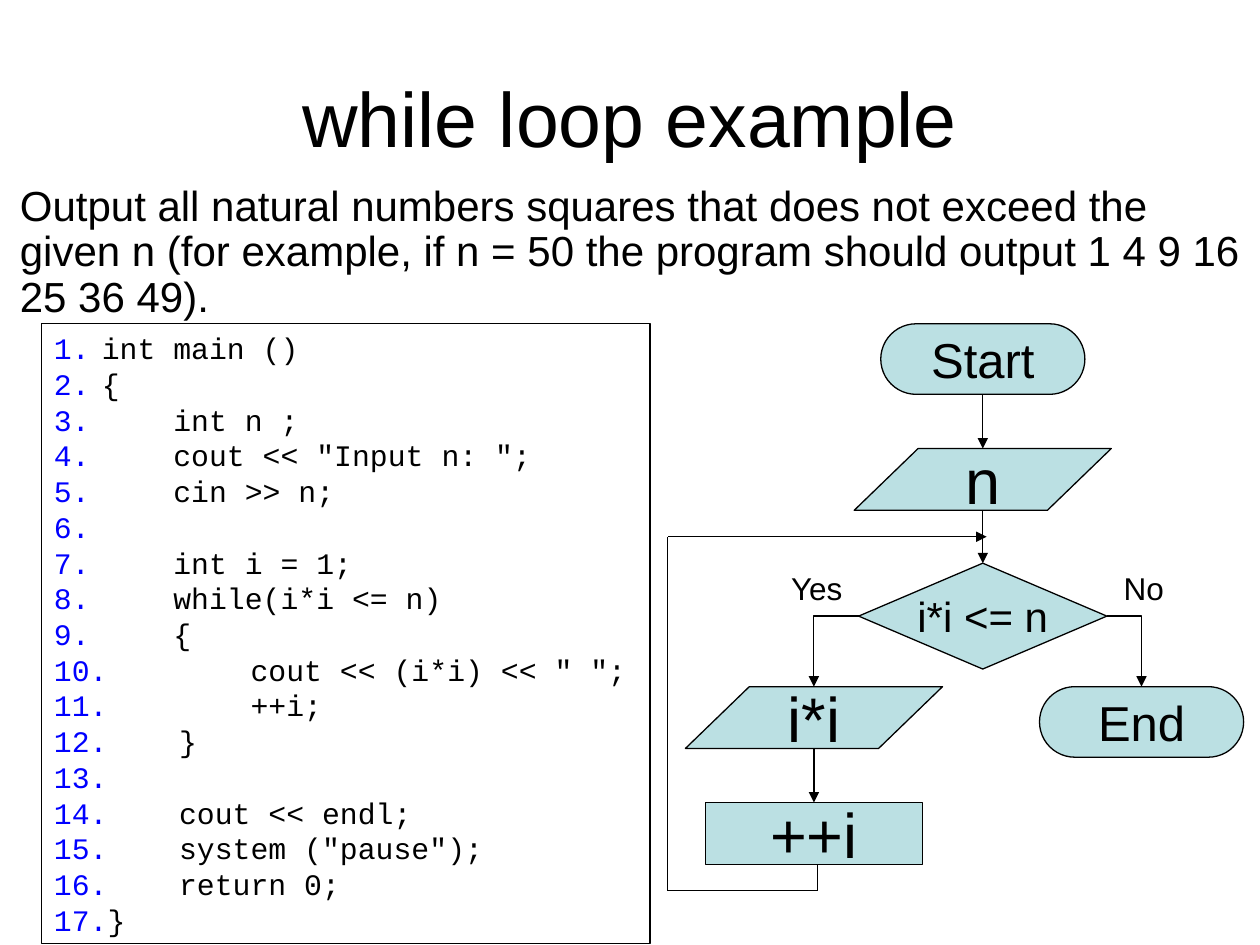
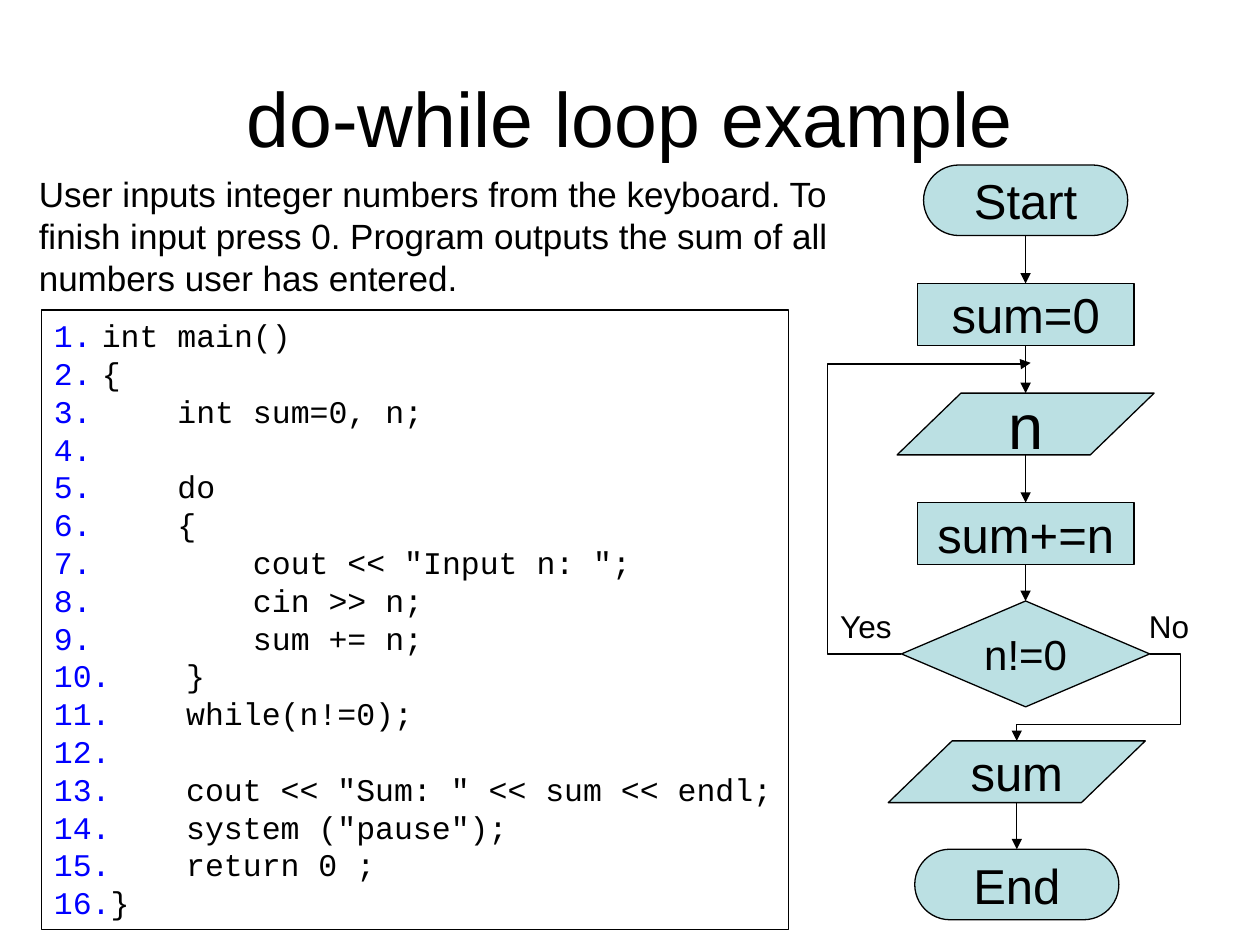
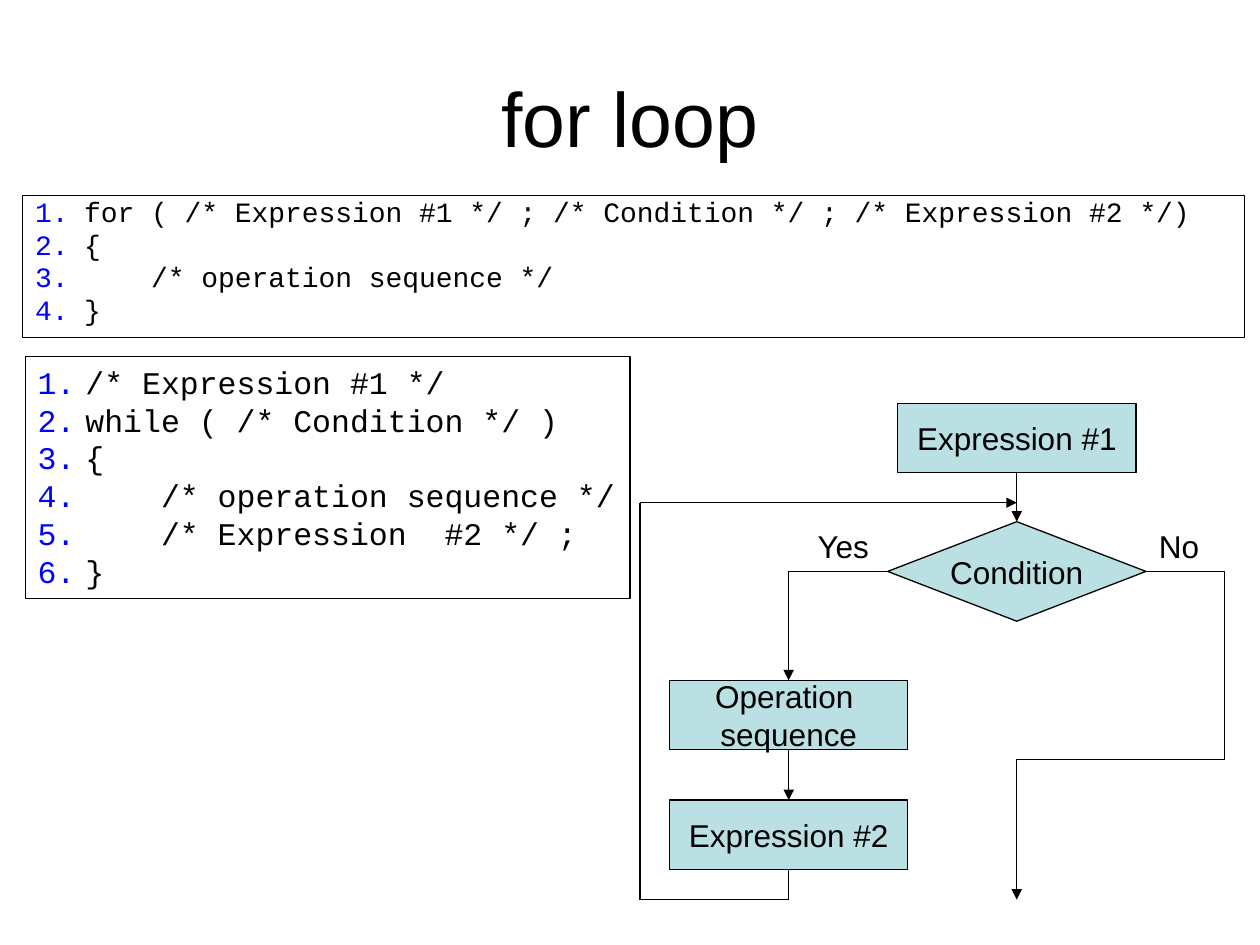
import dataclasses

import lxml.etree
import pptx
import pptx.dml.color
import pptx.enum.shapes
import pptx.enum.text
import pptx.oxml.ns
import pptx.util

Inches = pptx.util.Inches
Pt = pptx.util.Pt
RGB = pptx.dml.color.RGBColor
Preset = pptx.enum.shapes.MSO_SHAPE
Link = pptx.enum.shapes.MSO_CONNECTOR
Align = pptx.enum.text.PP_ALIGN
Anchor = pptx.enum.text.MSO_ANCHOR
qn = pptx.oxml.ns.qn


@dataclasses.dataclass(frozen=True)
class Theme:
    """Colours, fonts and sizes shared by the slides."""
    ink: RGB = RGB(0, 0, 0)
    node: RGB = RGB(0xBB, 0xE0, 0xE3)
    number: str = "0000FF"
    sans: str = "Arial"
    mono: str = "Courier New"
    title: int = 44
    label: int = 18
    rule: float = 0.75


THEME = Theme()
NODE_KINDS = {
    "terminal": (Preset.ROUNDED_RECTANGLE, (1.62, 0.56), 0.5),
    "data": (Preset.PARALLELOGRAM, (2.04, 0.49), 1.034),
    "process": (Preset.RECTANGLE, (1.72, 0.49), None),
    "decision": (Preset.DIAMOND, (1.97, 0.84), None),
}


def apply(target, formats):
    """Set each attribute named in formats on the target."""
    for name, value in formats.items():
        setattr(target, name, value)


def write(frame, lines, size, font=THEME.sans, frame_format=None, paragraph_format=None, numbered=0):
    """Fill a text frame with one paragraph per line, numbered if an indent is given."""
    apply(frame, {"word_wrap": True, **(frame_format or {})})
    for index, line in enumerate(lines):
        paragraph = frame.paragraphs[0] if index == 0 else frame.add_paragraph()
        if numbered:
            number_paragraph(paragraph, numbered)
        apply(paragraph, {"alignment": Align.LEFT, **(paragraph_format or {})})
        if index == 0:
            paragraph.space_before = None
        run = paragraph.add_run()
        run.text = line
        apply(run.font, {"size": Pt(size), "name": font})
        run.font.color.rgb = THEME.ink


def number_paragraph(paragraph, indent):
    """Give a paragraph a coloured automatic number and a hanging indent."""
    properties = paragraph._p.get_or_add_pPr()
    properties.set("marL", str(Inches(indent)))
    properties.set("indent", str(-Inches(indent)))
    colour = lxml.etree.SubElement(properties, qn("a:buClr"))
    lxml.etree.SubElement(colour, qn("a:srgbClr")).set("val", THEME.number)
    lxml.etree.SubElement(properties, qn("a:buAutoNum")).set("type", "arabicPeriod")


def add_text(slide, box, text, size, **formats):
    """Place a plain text box."""
    frame = slide.shapes.add_textbox(*map(Inches, box)).text_frame
    write(frame, [text], size, **formats)


def add_outlined(slide, preset, box):
    """Place a preset shape with the shared thin outline and no shadow."""
    outlined = slide.shapes.add_shape(preset, *map(Inches, box))
    outlined.shadow.inherit = False
    outlined.line.color.rgb = THEME.ink
    outlined.line.width = Pt(THEME.rule)
    return outlined


def add_title(slide, text):
    """Place the slide title."""
    add_text(slide, (0.5, 0.3, 9, 1.25), text, THEME.title,
             frame_format={"vertical_anchor": Anchor.MIDDLE},
             paragraph_format={"alignment": Align.CENTER})


def add_listing(slide, box, code, size, indent=0.38, **formats):
    """Place a framed code listing with numbered lines."""
    listing = add_outlined(slide, Preset.RECTANGLE, box)
    listing.fill.background()
    write(listing.text_frame, code.split("\n"), size, THEME.mono,
          {"vertical_anchor": Anchor.TOP}, numbered=indent, **formats)


@dataclasses.dataclass
class Node:
    """Edge midpoints of a flowchart step."""
    top: tuple
    left: tuple
    bottom: tuple
    right: tuple


class Flowchart:
    """A flowchart whose parts are placed from its top left corner."""

    def __init__(self, slide, left, top):
        self.slide, self.left, self.top = slide, left, top

    def place(self, x, y):
        """Turn a chart position into a slide position."""
        return Inches(self.left + x), Inches(self.top + y)

    def node(self, kind, text, center, top, font_size, size=None):
        """Draw a step centred on a column and return its edge midpoints."""
        preset, default_size, adjustment = NODE_KINDS[kind]
        width, height = size or default_size
        step = add_outlined(self.slide, preset, (
            self.left + center - width / 2, self.top + top, width, height))
        step.fill.solid()
        step.fill.fore_color.rgb = THEME.node
        if adjustment:
            step.adjustments[0] = adjustment
        write(step.text_frame, text.split("\n"), font_size,
              frame_format={"word_wrap": False, "vertical_anchor": Anchor.MIDDLE},
              paragraph_format={"alignment": Align.CENTER})
        middle = top + height / 2
        return Node((center, top), (center - width / 2, middle),
                    (center, top + height), (center + width / 2, middle))

    def line(self, start, end, arrow=True, kind=Link.STRAIGHT):
        """Draw a connector, with an arrowhead at its end if asked."""
        connector = self.slide.shapes.add_connector(kind, *self.place(*start), *self.place(*end))
        connector.line.color.rgb = THEME.ink
        connector.line.width = Pt(THEME.rule)
        properties = connector._element.spPr
        if arrow:
            outline = properties.find(qn("a:ln"))
            lxml.etree.SubElement(outline, qn("a:tailEnd")).set("type", "triangle")
        lxml.etree.SubElement(properties, qn("a:effectLst"))
        return connector

    def chain(self, *nodes):
        """Join steps from top to bottom with arrows."""
        for upper, lower in zip(nodes, nodes[1:]):
            self.line(upper.bottom, lower.top)

    def elbow(self, start, end, bend=None):
        """Draw a bent arrow that turns once, or runs round the bend point."""
        connector = self.line(start, end, kind=Link.ELBOW)
        geometry = connector._element.spPr.find(qn("a:prstGeom"))
        geometry.set("prst", "bentConnector4" if bend else "bentConnector2")
        if bend:
            guides = geometry.find(qn("a:avLst"))
            for axis in range(2):
                ratio = (bend[axis] - start[axis]) / (end[axis] - start[axis])
                guide = lxml.etree.SubElement(guides, qn("a:gd"))
                guide.set("name", f"adj{axis + 1}")
                guide.set("fmla", f"val {round(ratio * 100000)}")

    def loop_back(self, start, low, high, end_x):
        """Draw the return path along the chart's left edge."""
        corners = [start, (start[0], low), (0, low), (0, high), (end_x, high)]
        for index, (here, there) in enumerate(zip(corners, corners[1:])):
            self.line(here, there, arrow=index == len(corners) - 2)

    def answers(self, yes_x, no_x, y):
        """Label the two ways out of a decision."""
        for text, x in (("Yes", yes_x), ("No", no_x)):
            add_text(self.slide, (self.left + x, self.top + y, 0.67, 0.4), text, THEME.label,
                     frame_format={"word_wrap": False})


WHILE_CODE = """int main ()
{
    int n ;
    cout << "Input n: ";
    cin >> n;
 
    int i = 1;
    while(i*i <= n)
    {
        cout << (i*i) << " ";
        ++i;
    }
 
    cout << endl;
    system ("pause");
    return 0;
}"""

DO_WHILE_CODE = """int main()
{
    int sum=0, n;
 
    do
    {
        cout << "Input n: ";
        cin >> n;
        sum += n;
    }
    while(n!=0);
 
    cout << "Sum: " << sum << endl;
    system ("pause");
    return 0 ;
}"""

FOR_CODE = """for ( /* Expression #1 */ ; /* Condition */ ; /* Expression #2 */)
{
    /* operation sequence */
}"""

FOR_AS_WHILE_CODE = """/* Expression #1 */
while ( /* Condition */ )
{
    /* operation sequence */
    /* Expression  #2 */ ;
}"""


def while_flow(slide, left, top):
    """Draw the flowchart of the while example."""
    flow = Flowchart(slide, left, top)
    main, body, leave = 2.5, 1.16, 3.76
    start = flow.node("terminal", "Start", main, 0, 28)
    read = flow.node("data", "n", main, 0.99, 36)
    test = flow.node("decision", "i*i <= n", main, 1.9, 24)
    output = flow.node("data", "i*i", body, 2.88, 36)
    step = flow.node("process", "++i", body, 3.8, 36)
    end = flow.node("terminal", "End", leave, 2.88, 28)
    flow.chain(start, read, test)
    flow.chain(output, step)
    flow.elbow(test.left, output.top)
    flow.elbow(test.right, end.top)
    flow.answers(0.88, 3.52, 1.9)
    flow.loop_back((1.19, step.bottom[1]), 4.5, 1.69, 2.53)


def do_while_flow(slide, left, top):
    """Draw the flowchart of the do-while example."""
    flow = Flowchart(slide, left, top)
    main, leave = 1.57, 1.5
    start = flow.node("terminal", "Start", main, 0, 28)
    reset = flow.node("process", "sum=0", main, 0.94, 28)
    read = flow.node("data", "n", main, 1.81, 36)
    add = flow.node("process", "sum+=n", main, 2.68, 28)
    test = flow.node("decision", "n!=0", main, 3.46, 24)
    output = flow.node("data", "sum", leave, 4.57, 28)
    end = flow.node("terminal", "End", leave, 5.43, 28)
    flow.chain(start, reset, read, add, test)
    flow.chain(output, end)
    flow.elbow(test.left, (1.61, 1.57), (0, 1.58))
    flow.elbow(test.right, output.top, (2.8, 4.44))
    flow.answers(0, 2.45, 3.46)


def for_flow(slide, left, top):
    """Draw the general flowchart of the for loop."""
    flow = Flowchart(slide, left, top)
    main, body = 2.99, 1.18
    block = (1.89, 0.55)
    first = flow.node("process", "Expression #1", main, 0, 18, block)
    test = flow.node("decision", "Condition", main, 0.94, 18, (2.05, 0.79))
    work = flow.node("process", "Operation \nsequence", body, 2.2, 18, block)
    second = flow.node("process", "Expression #2", body, 3.15, 18, block)
    flow.chain(first, test)
    flow.chain(work, second)
    flow.elbow(test.left, work.top)
    flow.elbow(test.right, (main, 3.94), (4.64, 2.83))
    flow.answers(1.31, 4.02, 0.93)
    flow.loop_back(second.bottom, 3.94, 0.79, main)


def while_slide(slide):
    """Build the while loop example."""
    add_title(slide, "while loop example")
    add_text(slide, (0.06, 1.42, 10, 1.18),
             "Output all natural numbers squares that does not exceed the given n (for example, "
             "if n = 50 the program should output 1 4 9 16 25 36 49).", 24,
             paragraph_format={"line_spacing": 0.9})
    add_listing(slide, (0.33, 2.57, 4.83, 4.92), WHILE_CODE, 17)
    while_flow(slide, 5.3, 2.57)


def do_while_slide(slide):
    """Build the do-while loop example."""
    add_title(slide, "do-while loop example")
    add_text(slide, (0.21, 1.32, 6.73, 1.01),
             "User inputs integer numbers from the keyboard. To finish input press 0. "
             "Program outputs the sum of all numbers user has entered.", 20)
    add_listing(slide, (0.33, 2.46, 5.93, 4.92), DO_WHILE_CODE, 18)
    do_while_flow(slide, 6.57, 1.31)


def for_slide(slide):
    """Build the for loop overview."""
    add_title(slide, "for loop")
    add_listing(slide, (0.18, 1.55, 9.7, 1.13), FOR_CODE, 16, 0.39,
                paragraph_format={"line_spacing": 0.8, "space_before": Pt(3.2)})
    add_listing(slide, (0.2, 2.83, 4.8, 1.92), FOR_AS_WHILE_CODE, 18)
    for_flow(slide, 5.08, 3.2)


def main():
    """Build and save the deck."""
    deck = pptx.Presentation()
    apply(deck, {"slide_width": Inches(10), "slide_height": Inches(7.5)})
    for build in (while_slide, do_while_slide, for_slide):
        build(deck.slides.add_slide(deck.slide_layouts[6]))
    deck.save("out.pptx")


if __name__ == "__main__":
    main()
